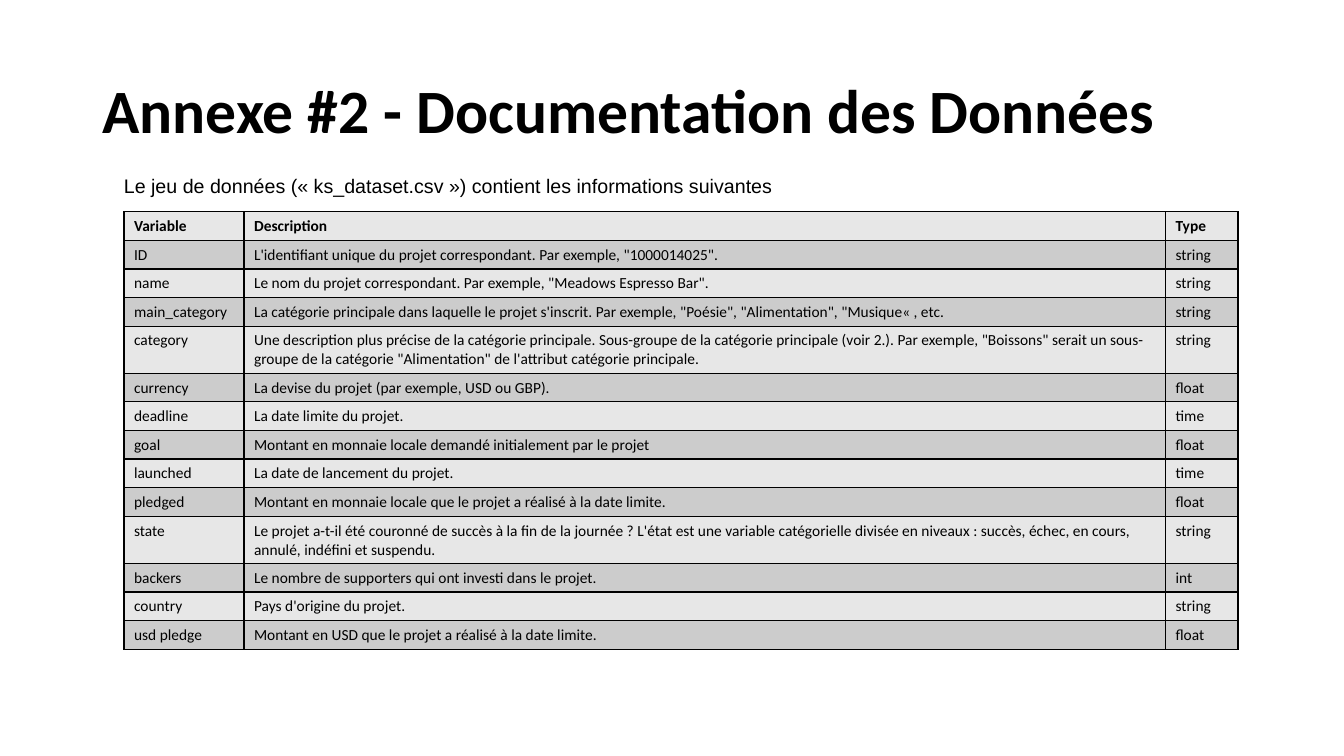
from lxml import etree
from pptx import Presentation
from pptx.dml.color import RGBColor
from pptx.enum.text import MSO_ANCHOR
from pptx.oxml.ns import qn
from pptx.util import Inches, Pt

BLACK = RGBColor(0x00, 0x00, 0x00)
LIGHT_GREY = RGBColor(0xE7, 0xE7, 0xE7)
DARK_GREY = RGBColor(0xCC, 0xCC, 0xCC)
MIDDLE = MSO_ANCHOR.MIDDLE

COLUMN_WIDTHS = [1.19, 9.14, 0.72]
ROW_HEIGHT = 0.28
ROWS = [
    ("Variable", "Description", "Type"),
    ("ID", "L'identifiant unique du projet correspondant. Par exemple, \"1000014025\".", "string"),
    ("name", "Le nom du projet correspondant. Par exemple, \"Meadows Espresso Bar\".", "string"),
    ("main_category", "La catégorie principale dans laquelle le projet s'inscrit. "
     "Par exemple, \"Poésie\", \"Alimentation\", \"Musique«\u00a0, etc.", "string"),
    ("category", "Une description plus précise de la catégorie principale. "
     "Sous-groupe de la catégorie principale (voir 2.). Par exemple, \"Boissons\" serait un "
     "sous-groupe de la catégorie \"Alimentation\" de l'attribut catégorie principale.", "string"),
    ("currency", "La devise du projet (par exemple, USD ou GBP).", "float"),
    ("deadline", "La date limite du projet.", "time"),
    ("goal", "Montant en monnaie locale demandé initialement par le projet", "float"),
    ("launched", "La date de lancement du projet.", "time"),
    ("pledged", "Montant en monnaie locale que le projet a réalisé à la date limite.", "float"),
    ("state", "Le projet a-t-il été couronné de succès à la fin de la journée ? "
     "L'état est une variable catégorielle divisée en niveaux : succès, échec, en cours, "
     "annulé, indéfini et suspendu.", "string"),
    ("backers", "Le nombre de supporters qui ont investi dans le projet.", "int"),
    ("country", "Pays d'origine du projet.", "string"),
    ("usd pledge", "Montant en USD que le projet a réalisé à la date limite.", "float"),
]


def write(text_frame, text, font_name, size, bold=False):
    text_frame.text = text
    text_frame.word_wrap = True
    font = text_frame.paragraphs[0].runs[0].font
    font.name = font_name
    font.size = Pt(size)
    font.bold = bold
    font.color.rgb = BLACK


def add_borders(cell):
    properties = cell._tc.get_or_add_tcPr()
    for position, side in enumerate(("a:lnL", "a:lnR", "a:lnT", "a:lnB")):
        line = etree.Element(qn(side), w=str(Pt(1)))
        fill = etree.SubElement(line, qn("a:solidFill"))
        etree.SubElement(fill, qn("a:srgbClr"), val=str(BLACK))
        properties.insert(position, line)


presentation = Presentation()
presentation.slide_width = Inches(13.33)
presentation.slide_height = Inches(7.5)
slide = presentation.slides.add_slide(presentation.slide_layouts[6])

# Title
title = slide.shapes.add_textbox(Inches(0.92), Inches(0.4), Inches(11.5), Inches(1.45))
write(title.text_frame, "Annexe #2 - Documentation des Données", "Calibri", 44, bold=True)
title.text_frame.vertical_anchor = MIDDLE
title.text_frame.paragraphs[0].line_spacing = 0.9

# Introduction
introduction = slide.shapes.add_textbox(Inches(1.13), Inches(1.68), Inches(11.28), Inches(0.34))
write(introduction.text_frame,
      "Le jeu de données (« ks_dataset.csv ») contient les informations suivantes", "Arial", 14)

# Table of variables, with alternating row fills
table = slide.shapes.add_table(
    len(ROWS), len(COLUMN_WIDTHS), Inches(1.23), Inches(2.1),
    Inches(sum(COLUMN_WIDTHS)), Inches(ROW_HEIGHT * len(ROWS))).table
for column, width in zip(table.columns, COLUMN_WIDTHS):
    column.width = Inches(width)
for row_index, texts in enumerate(ROWS):
    table.rows[row_index].height = Inches(ROW_HEIGHT)
    for column_index, text in enumerate(texts):
        cell = table.cell(row_index, column_index)
        write(cell.text_frame, text, "Calibri", 11, bold=row_index == 0)
        cell.fill.solid()
        cell.fill.fore_color.rgb = DARK_GREY if row_index % 2 else LIGHT_GREY
        add_borders(cell)

presentation.save("out.pptx")
